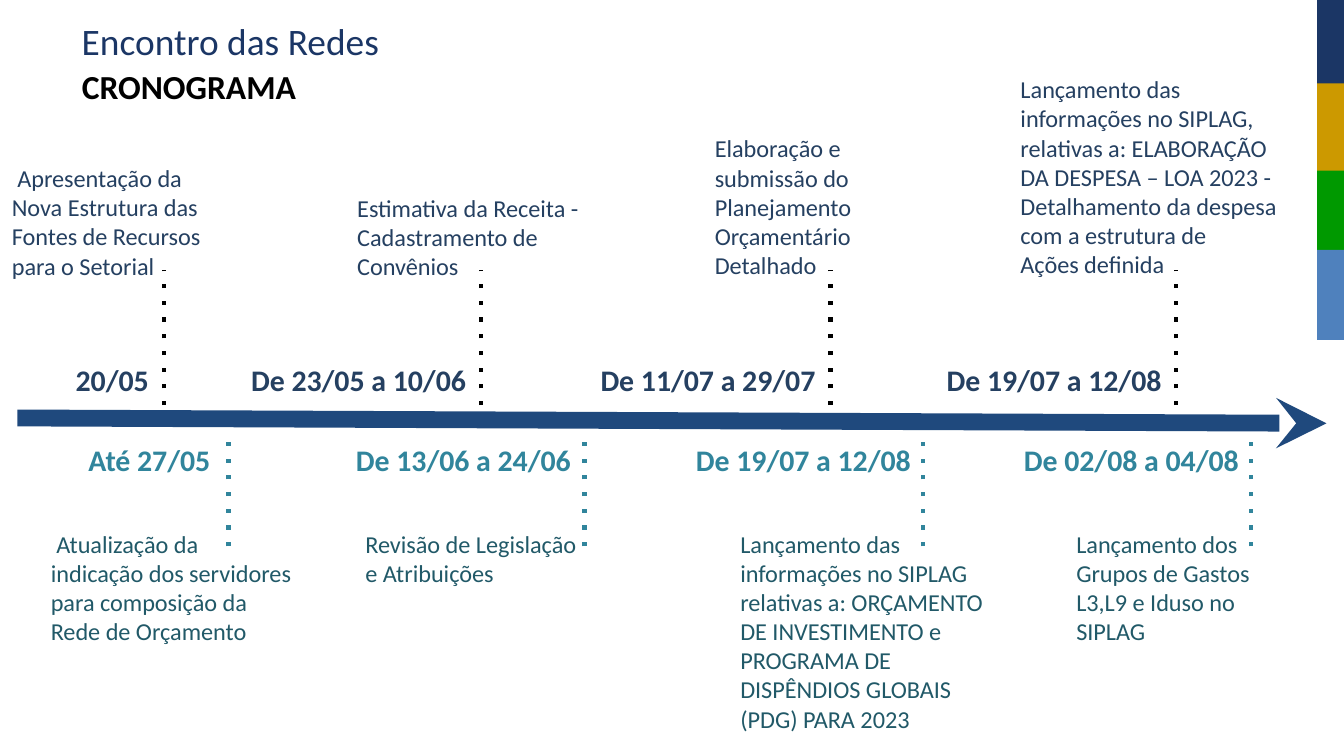
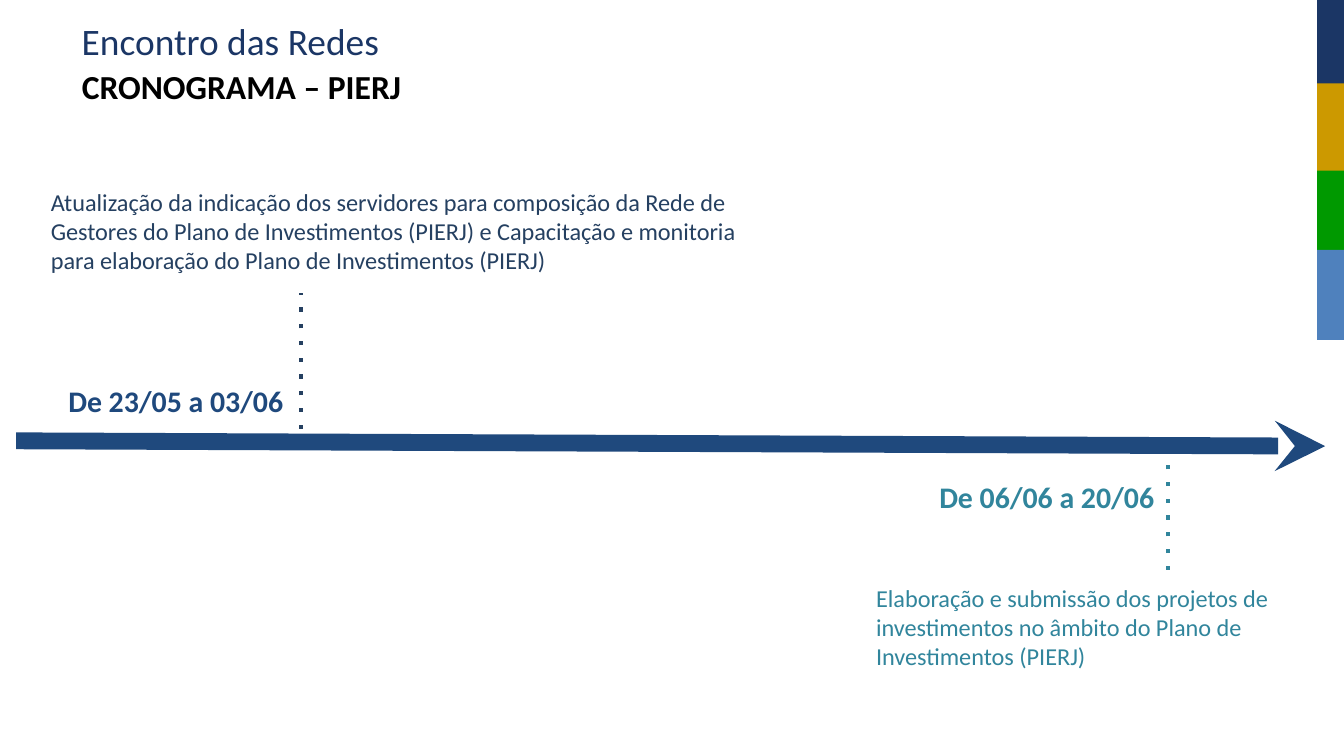
from dataclasses import dataclass

from lxml import etree
from pptx import Presentation
from pptx.dml.color import RGBColor
from pptx.enum.shapes import MSO_CONNECTOR, MSO_SHAPE
from pptx.enum.text import MSO_ANCHOR, MSO_AUTO_SIZE
from pptx.oxml.ns import qn
from pptx.util import Inches, Pt

RECTANGLE = MSO_SHAPE.RECTANGLE
STRAIGHT = MSO_CONNECTOR.STRAIGHT
TOP, BOTTOM = MSO_ANCHOR.TOP, MSO_ANCHOR.BOTTOM
FIT_SHAPE = MSO_AUTO_SIZE.SHAPE_TO_FIT_TEXT

FONT = "Calibri"
NAVY, BLACK, AXIS_BLUE = "1B3665", "000000", "1F497D"
DARK_BLUE, TEAL, DARK_TEAL = "254061", "31859C", "215968"
# Colour, top row and height of each block in the side strip
STRIP = [(NAVY, 0, 7.2), ("CC9900", 6.2, 7.2), ("009900", 12.7, 7.2), ("4F81BD", 18.6, 6.7)]

NOTE_SIZE, DATE_SIZE = 13, 16
DATE_HEIGHT, NOTE_LINE, NOTE_PADDING = 4.7, 2.2, 2


def rgb(value):
    return RGBColor.from_string(value)


def cells(count):
    """Length of a number of grid cells, ten to the inch."""
    return Inches(count / 10)


@dataclass
class Side:
    """Rows and colours of the milestones on one side of the axis."""
    note_edge: float  # bottom of the notes above the axis, top of those below
    date_top: float
    stem_from: float
    stem_to: float
    note_color: str
    date_color: str
    stem_color: str
    above: bool


@dataclass
class Milestone:
    date: str
    date_left: float
    date_width: float
    stem: float
    note: list
    note_left: float
    note_width: float
    note_lines: int


class Deck:
    def __init__(self):
        self.presentation = Presentation()
        self.presentation.slide_width = Pt(720)
        self.presentation.slide_height = Pt(405)
        self.slide = None

    def new_slide(self, subtitle):
        self.slide = self.presentation.slides.add_slide(self.presentation.slide_layouts[6])
        self.strip()
        self.text(["Encontro das Redes"], 5.1, 0.8, 80.3, 4.4, 20, NAVY, inset=0.5, anchor=BOTTOM)
        self.text([subtitle], 5.1, 4.4, 77.2, 4, 18, BLACK, bold=True, inset=0.5)

    def strip(self):
        group = self.slide.shapes.add_group_shape()
        for color, top, height in STRIP:
            block = group.shapes.add_shape(RECTANGLE, cells(98), cells(top), cells(2), cells(height))
            block.shadow.inherit = False
            block.fill.solid()
            block.fill.fore_color.rgb = rgb(color)
            block.line.fill.background()

    def text(self, paragraphs, left, top, width, height, size, color,
             bold=False, inset=1, anchor=TOP):
        box = self.slide.shapes.add_textbox(cells(left), cells(top), cells(width), cells(height))
        frame = box.text_frame
        frame.word_wrap = True
        frame.auto_size = FIT_SHAPE
        frame.vertical_anchor = anchor
        frame.margin_left = frame.margin_right = cells(1)
        frame.margin_top = frame.margin_bottom = cells(inset)
        for index, wording in enumerate(paragraphs):
            paragraph = frame.add_paragraph() if index else frame.paragraphs[0]
            paragraph.text = wording
            paragraph.font.name = FONT
            paragraph.font.size = Pt(size)
            paragraph.font.bold = bold
            paragraph.font.color.rgb = rgb(color)

    def line(self, start, end, color, width, ending, value):
        """Draw a line; ending is the tag of its dash or arrowhead."""
        connector = self.slide.shapes.add_connector(STRAIGHT, *map(cells, start + end))
        connector.line.color.rgb = rgb(color)
        connector.line.width = Pt(width)
        properties = connector.element.spPr
        outline = properties.find(qn("a:ln"))
        attribute = "val" if ending == "a:prstDash" else "type"
        etree.SubElement(outline, qn(ending)).set(attribute, value)
        etree.SubElement(properties, qn("a:effectLst"))

    def axis(self, left, top):
        self.line((left, top), (left + 97.4, top + 0.4), AXIS_BLUE, 9, "a:tailEnd", "stealth")

    def milestones(self, side, entries):
        for entry in entries:
            note_height = NOTE_PADDING + NOTE_LINE * entry.note_lines
            note_top = side.note_edge - note_height if side.above else side.note_edge
            self.text(entry.note, entry.note_left, note_top, entry.note_width, note_height,
                      NOTE_SIZE, side.note_color)
            self.text([entry.date], entry.date_left, side.date_top, entry.date_width,
                      DATE_HEIGHT, DATE_SIZE, side.date_color, bold=True)
            self.line((entry.stem, side.stem_from), (entry.stem, side.stem_to),
                      side.stem_color, 2.25, "a:prstDash", "dot")


def schedule_slide(deck):
    deck.new_slide("CRONOGRAMA")
    deck.axis(1.3, 31.1)
    deck.milestones(Side(21.95, 25.9, 30.15, 20.1, DARK_BLUE, DARK_BLUE, BLACK, True), [
        Milestone("20/05", 4.65, 10.7, 12.2,
                  [" Apresentação da Nova Estrutura das Fontes de Recursos para o Setorial"],
                  -0.1, 16.3, 4),
        Milestone("De 23/05 a 10/06", 17.7, 18.6, 35.8,
                  ["Estimativa da Receita -", "Cadastramento de Convênios"], 25.6, 20.3, 3),
        Milestone("De 11/07 a 29/07", 43.7, 18.6, 61.8,
                  ["Elaboração e submissão do Planejamento Orçamentário Detalhado"],
                  52.2, 14.3, 5),
        Milestone("De 19/07 a 12/08", 69.45, 18.6, 87.5,
                  ["Lançamento das informações no SIPLAG, relativas a: ELABORAÇÃO DA DESPESA "
                   "– LOA 2023 - Detalhamento da despesa com a estrutura de\nAções definida"],
                  74.95, 22.3, 7),
    ])
    deck.milestones(Side(38.35, 31.85, 40.65, 32.75, DARK_TEAL, TEAL, TEAL, False), [
        Milestone(" Até 27/05", 5.1, 13, 17,
                  [" Atualização da\nindicação dos servidores para composição da "
                   "Rede de Orçamento"], 2.8, 20.3, 4),
        Milestone("De 13/06 a 24/06", 25.5, 18.2, 43.5,
                  ["Revisão de Legislação e Atribuições"], 26.2, 18.3, 2),
        Milestone("De 19/07 a 12/08", 50.8, 18.6, 68.7,
                  ["Lançamento das informações no SIPLAG relativas a: ORÇAMENTO DE INVESTIMENTO "
                   "e PROGRAMA DE DISPÊNDIOS GLOBAIS (PDG) PARA 2023"], 54.1, 20.3, 7),
        Milestone("De 02/08 a 04/08", 75.2, 18.6, 93.1,
                  ["Lançamento dos \nGrupos de Gastos L3,L9 e Iduso no SIPLAG"], 79.1, 18.6, 4),
    ])


def investment_slide(deck):
    deck.new_slide("CRONOGRAMA – PIERJ")
    deck.axis(1.2, 32.8)
    deck.milestones(Side(21.5, 27.5, 31.9, 21.8, DARK_BLUE, AXIS_BLUE, DARK_BLUE, True), [
        Milestone(" De 23/05 a 03/06", 3.6, 31.5, 22.4,
                  ["Atualização da indicação dos servidores para composição da Rede de Gestores "
                   "do Plano de Investimentos (PIERJ) e Capacitação e monitoria para elaboração "
                   "do Plano de Investimentos (PIERJ)"], 2.8, 53.5, 3),
    ])
    deck.milestones(Side(42.4, 34.6, 42.4, 34.5, TEAL, TEAL, TEAL, False), [
        Milestone("De 06/06 a 20/06", 68.9, 29.9, 86.9,
                  ["Elaboração e submissão dos projetos de investimentos no âmbito do Plano "
                   "de Investimentos (PIERJ)"], 64.2, 31.5, 3),
    ])


def main():
    deck = Deck()
    schedule_slide(deck)
    investment_slide(deck)
    deck.presentation.save("out.pptx")


if __name__ == "__main__":
    main()
